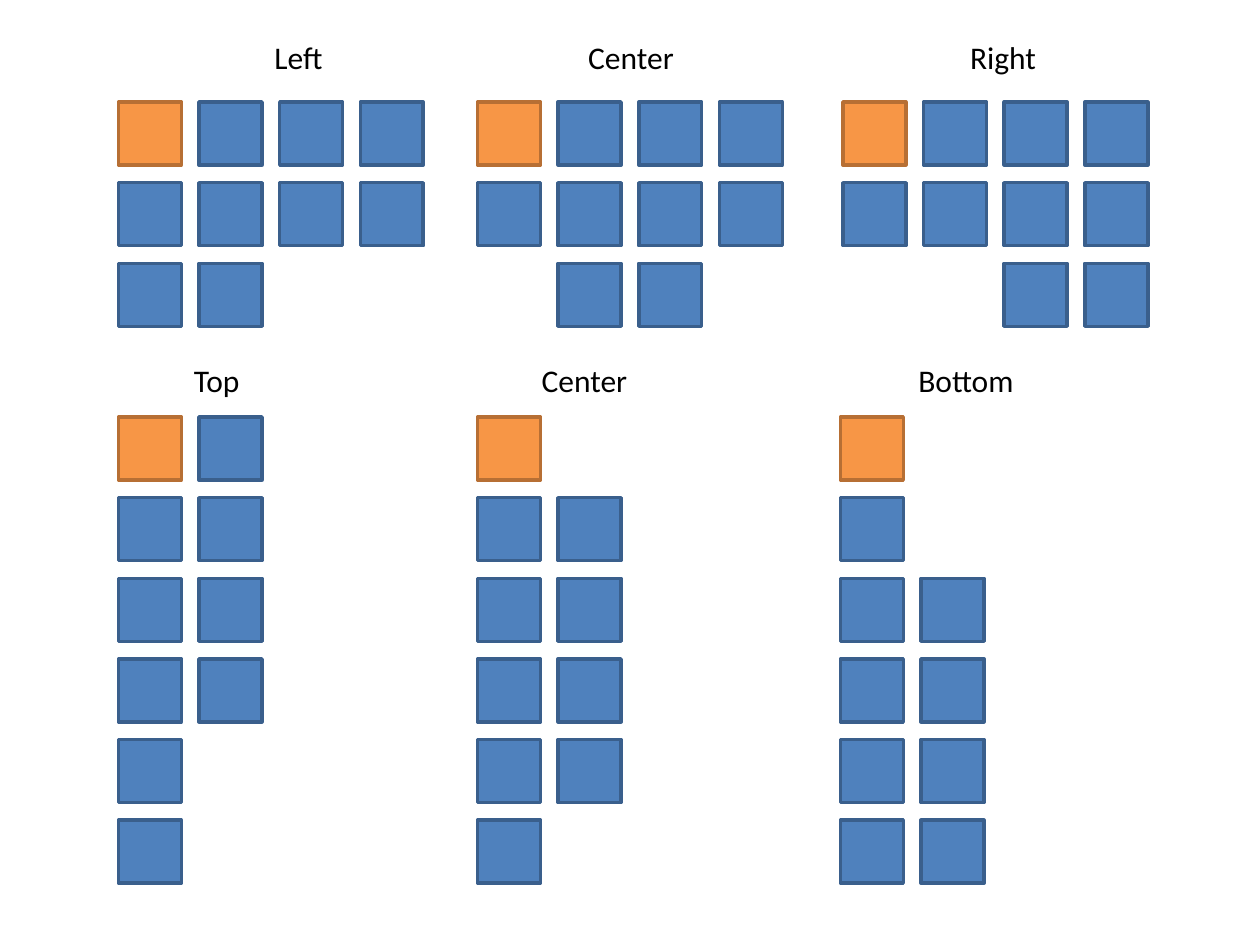
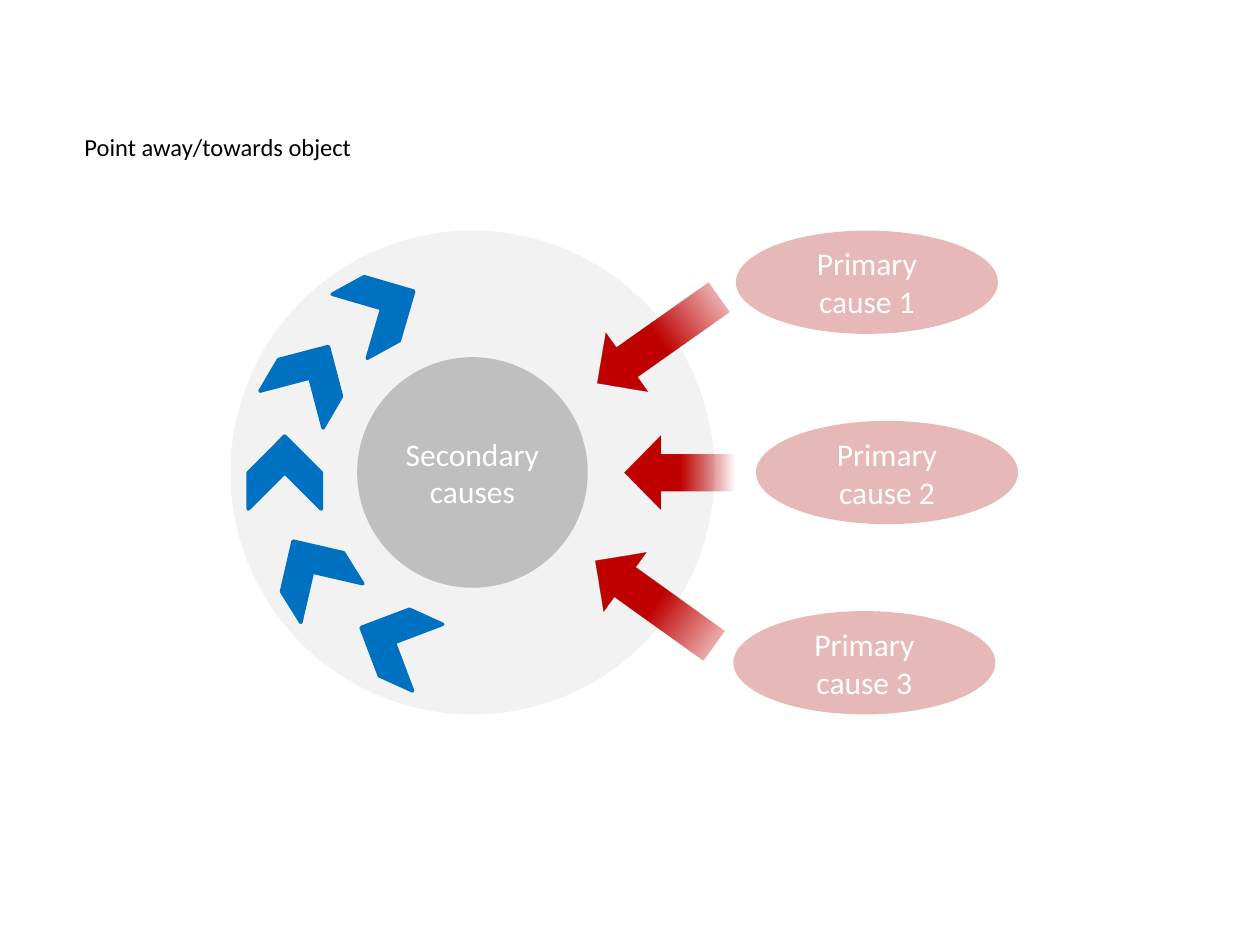
from lxml import etree
from pptx import Presentation
from pptx.dml.color import RGBColor
from pptx.enum.shapes import MSO_SHAPE
from pptx.enum.text import MSO_ANCHOR, MSO_AUTO_SIZE, PP_ALIGN
from pptx.oxml.ns import qn
from pptx.util import Inches, Pt

RECTANGLE = MSO_SHAPE.RECTANGLE
CIRCLE = MSO_SHAPE.FLOWCHART_CONNECTOR
OVAL = MSO_SHAPE.OVAL
ARROW = MSO_SHAPE.RIGHT_ARROW
CHEVRON = MSO_SHAPE.CHEVRON
LEFT, CENTER = PP_ALIGN.LEFT, PP_ALIGN.CENTER
TOP, MIDDLE = MSO_ANCHOR.TOP, MSO_ANCHOR.MIDDLE
FIT_SHAPE = MSO_AUTO_SIZE.SHAPE_TO_FIT_TEXT

FONT = "Calibri"
BLACK, WHITE = "000000", "FFFFFF"
FIRST_TILE = ("F79646", "B76F34")
TILE = ("4F81BD", "3A5F8C")
RING, CORE = "F2F2F2", "BFBFBF"
CAUSE, CAUSE_ARROW, CYCLE_ARROW = "E6B9B8", "C00000", "0070C0"

TILE_COUNT = 10
TILE_SIZE, TILE_PITCH = 0.5, 0.64
ARROW_HEIGHT = CHEVRON_SIZE = 0.58


def color(value):
    return RGBColor.from_string(value)


def write(shape, text, size, font_color, alignment, anchor):
    frame = shape.text_frame
    frame.text = text
    frame.word_wrap = True
    frame.vertical_anchor = anchor
    paragraph = frame.paragraphs[0]
    paragraph.alignment = alignment
    paragraph.font.name = FONT
    paragraph.font.size = Pt(size)
    paragraph.font.color.rgb = color(font_color)


def add_shape(slide, kind, box, fill=None, line=None, rotation=0):
    shape = slide.shapes.add_shape(kind, *map(Inches, box))
    shape.shadow.inherit = False
    shape.rotation = rotation
    if fill:
        shape.fill.solid()
        shape.fill.fore_color.rgb = color(fill)
    if line:
        shape.line.color.rgb = color(line)
        shape.line.width = Pt(2)
    else:
        shape.line.fill.background()
    return shape


def add_label(slide, text, left, top):
    label = slide.shapes.add_textbox(*map(Inches, (left, top, 1.75, 0.4)))
    write(label, text, 18, BLACK, LEFT, TOP)
    label.text_frame.auto_size = FIT_SHAPE


def fade_tail(shape, fill):
    """Fill a shape with a colour that turns transparent toward its left end."""
    shape.fill.gradient()
    shape.fill.gradient_angle = 180
    gradient = shape.fill._xPr.find(qn("a:gradFill"))
    gradient.set("rotWithShape", "1")
    stops = gradient.find(qn("a:gsLst"))
    for stop in list(stops):
        stops.remove(stop)
    for position in (0, 50, 100):
        stop = etree.SubElement(stops, qn("a:gs"), pos=str(position * 1000))
        stop_color = etree.SubElement(stop, qn("a:srgbClr"), val=fill)
        if position == 100:
            etree.SubElement(stop_color, qn("a:alpha"), val="0")


def add_tiles(slide, left, top, per_line, last_shift, in_columns):
    """Lay tiles out line by line, moving the incomplete last line by last_shift."""
    last_line = (TILE_COUNT - 1) // per_line
    for index in range(TILE_COUNT):
        line, place = divmod(index, per_line)
        if line == last_line:
            place += last_shift
        column, row = (line, place) if in_columns else (place, line)
        box = (left + column * TILE_PITCH, top + row * TILE_PITCH, TILE_SIZE, TILE_SIZE)
        add_shape(slide, RECTANGLE, box, *(TILE if index else FIRST_TILE))


def build_alignment_slide(presentation):
    slide = presentation.slides.add_slide(presentation.slide_layouts[6])
    row_grids = [("Left", 2.08, 0.94), ("Center", 4.57, 3.79), ("Right", 7.6, 6.69)]
    column_grids = [("Top", 1.44, 0.94), ("Center", 4.2, 3.79), ("Bottom", 7.19, 6.67)]
    bands = [(row_grids, 0.25, 0.81, 4, False), (column_grids, 2.82, 3.31, 6, True)]
    for grids, label_top, tiles_top, per_line, in_columns in bands:
        for shift, (name, label_left, tiles_left) in enumerate(grids):
            add_tiles(slide, tiles_left, tiles_top, per_line, shift, in_columns)
            add_label(slide, name, label_left, label_top)


def add_secondary_causes(slide, left, top, size):
    """Draw the ring, its core and the chevrons that run up its left side."""
    add_shape(slide, CIRCLE, (left, top, size, size), RING)
    core_size = 1.83
    inset = (size - core_size) / 2
    core = add_shape(slide, CIRCLE, (left + inset, top + inset, core_size, core_size), CORE)
    write(core, "Secondary causes", 18, WHITE, CENTER, MIDDLE)
    chevrons = [(1.01, 2.98, 204.3), (0.36, 2.42, 238), (0.14, 1.63, 270),
                (0.34, 0.88, 300.3), (0.91, 0.33, 331.3)]
    for x, y, rotation in chevrons:
        box = (left + x, top + y, CHEVRON_SIZE, CHEVRON_SIZE)
        add_shape(slide, CHEVRON, box, CYCLE_ARROW, CYCLE_ARROW, rotation)


def add_primary_causes(slide, left, top):
    """Draw the causes one below the other, each with its arrow to the left."""
    # oval x, then arrow x, y, width and rotation
    causes = [(1.21, 0, 0.58, 1.18, 144.6),
              (1.37, 0.33, 1.63, 0.88, 180),
              (1.19, -0.01, 2.67, 1.15, 215.7)]
    for index, (oval_x, arrow_x, arrow_y, width, rotation) in enumerate(causes):
        arrow_box = (left + arrow_x, top + arrow_y, width, ARROW_HEIGHT)
        fade_tail(add_shape(slide, ARROW, arrow_box, rotation=rotation), CAUSE_ARROW)
        oval_box = (left + oval_x, top + index * 1.51, 2.08, 0.82)
        oval = add_shape(slide, OVAL, oval_box, CAUSE)
        write(oval, f"Primary cause {index + 1}", 18, WHITE, CENTER, MIDDLE)


def build_causes_slide(presentation):
    slide = presentation.slides.add_slide(presentation.slide_layouts[5])
    title = slide.shapes.title
    title.left, title.top, title.width, title.height = map(Inches, (0.57, 1, 2.77, 0.34))
    write(title, "Point away/towards object", 14, BLACK, LEFT, TOP)
    title.text_frame.auto_size = FIT_SHAPE
    add_secondary_causes(slide, 1.83, 1.83, 3.84)
    add_primary_causes(slide, 4.63, 1.83)


def main():
    presentation = Presentation()
    presentation.slide_width = Inches(10)
    presentation.slide_height = Inches(7.5)
    build_alignment_slide(presentation)
    build_causes_slide(presentation)
    presentation.save("out.pptx")


if __name__ == "__main__":
    main()
